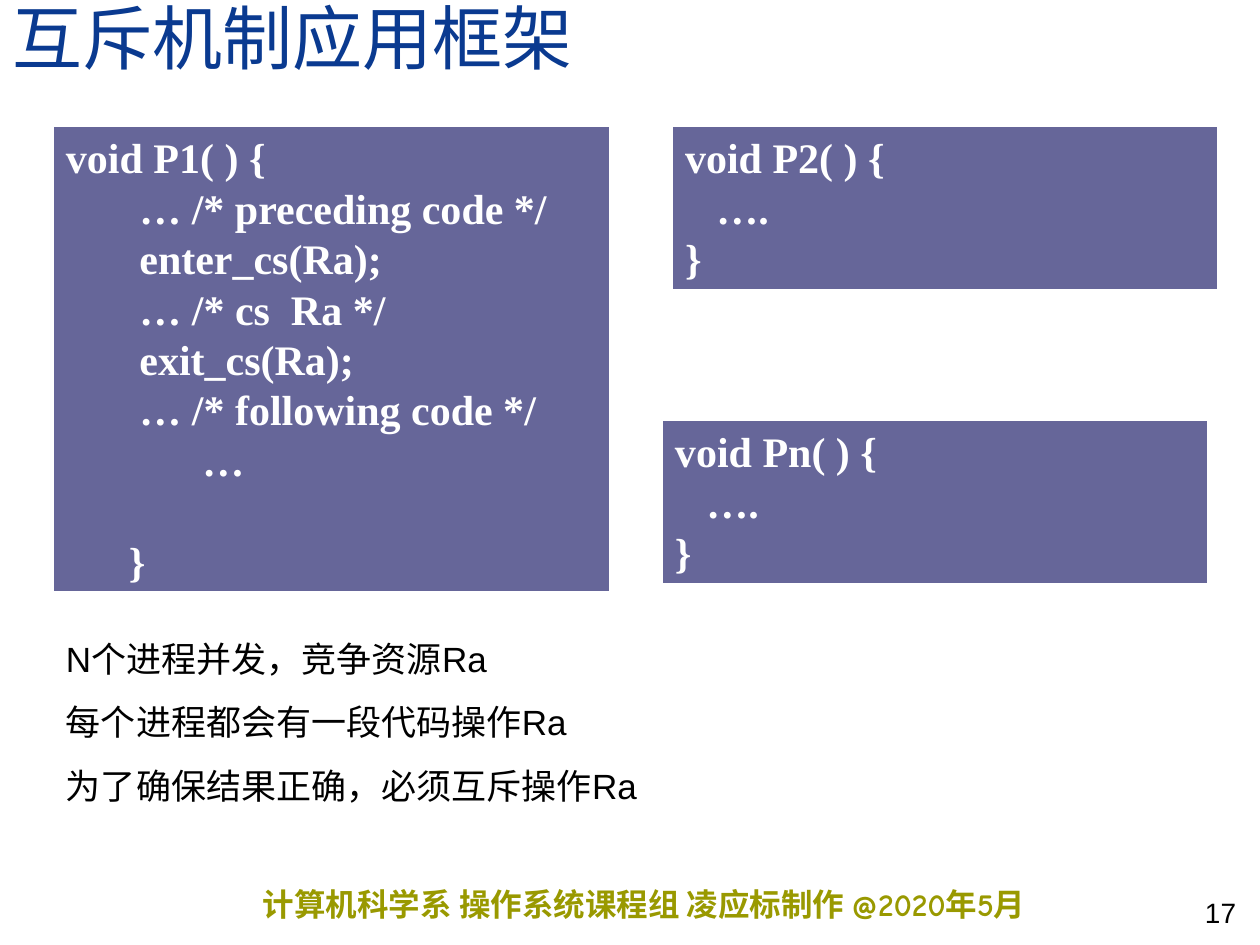
import pptx
import pptx.dml.color
import pptx.enum.shapes
import pptx.enum.text
import pptx.util

EMU_PER_PX = 914400 / 126
ANCHOR = pptx.enum.text.MSO_ANCHOR
ALIGN = pptx.enum.text.PP_ALIGN
CODE_LINE = 28.8  # line height of code, in points


def px(length):
    return pptx.util.Emu(round(length * EMU_PER_PX))


def color(value):
    return pptx.dml.color.RGBColor.from_string(value)


class SlideWriter:
    """Holds the slide's style and the page being filled."""

    serif, sans, comic = "Times New Roman", "Arial", "Comic Neue"
    navy, violet, olive = "0A3A90", "666699", "999900"
    black, white = "000000", "FFFFFF"

    def __init__(self, page):
        self.page = page

    def _prepare(self, box, anchor, side=13):
        frame = box.text_frame
        frame.word_wrap = True
        frame.vertical_anchor = anchor
        frame.margin_left = frame.margin_right = px(side)
        frame.margin_top = frame.margin_bottom = px(6)
        return frame

    def _paragraphs(self, frame, lines, font, size, ink, bold=False,
                    align=ALIGN.LEFT, spacing=None, gap=0):
        for index, line in enumerate(lines):
            para = frame.add_paragraph() if index else frame.paragraphs[0]
            para.text = line
            para.alignment = align
            para.line_spacing = spacing
            if index and gap:
                para.space_before = pptx.util.Pt(gap)
            para.font.name = font
            para.font.size = pptx.util.Pt(size)
            para.font.bold = bold
            para.font.color.rgb = color(ink)

    def text(self, place, lines, font, size, ink, anchor=ANCHOR.TOP,
             side=13, **style):
        box = self.page.shapes.add_textbox(*map(px, place))
        frame = self._prepare(box, anchor, side)
        self._paragraphs(frame, lines, font, size, ink, **style)

    def code(self, place, lines):
        """Draw a code panel and return its paragraphs."""
        panel = self.page.shapes.add_shape(
            pptx.enum.shapes.MSO_SHAPE.RECTANGLE, *map(px, place))
        panel.shadow.inherit = False
        panel.fill.solid()
        panel.fill.fore_color.rgb = color(self.violet)
        panel.line.color.rgb = color(self.white)
        panel.line.width = pptx.util.Pt(0.75)
        frame = self._prepare(panel, ANCHOR.TOP)
        self._paragraphs(frame, lines, self.serif, 24, self.white, bold=True,
                         spacing=pptx.util.Pt(CODE_LINE))
        return frame.paragraphs


def main():
    deck = pptx.Presentation()
    deck.slide_width, deck.slide_height = px(1260), px(945)
    writer = SlideWriter(deck.slides.add_slide(deck.slide_layouts[6]))

    writer.text((263, 879, 922, 50),
                ["计算机科学系 操作系统课程组 凌应标制作 @2020年5月"],
                writer.comic, 18, writer.olive, side=0, bold=True)
    writer.text((1050, 872, 199, 63), ["17"], writer.sans, 16, writer.black,
                anchor=ANCHOR.BOTTOM, align=ALIGN.RIGHT)
    writer.text((0, 0, 1113, 84), ["互斥机制应用框架"], writer.serif, 40,
                writer.navy, anchor=ANCHOR.BOTTOM, spacing=0.8)

    first_process = writer.code((53, 126, 557, 466), [
        "void P1( ) {",
        "       … /* preceding code */",
        " enter_cs(Ra);",
        " … /* cs  Ra */",
        " exit_cs(Ra);",
        " … /* following code */",
        "       …",
        "}",
    ])
    for para in first_process[2:]:
        properties = para._p.get_or_add_pPr()
        properties.set("marL", str(px(63)))
        properties.set("indent", "0")
    first_process[-1].space_before = pptx.util.Pt(CODE_LINE)

    for name, left, top in (("P2", 672, 126), ("Pn", 662, 420)):
        writer.code((left, top, 546, 164),
                    [f"void {name}( ) {{", "   ….", "}"])

    writer.text((53, 631, 1104, 247), [
        "N个进程并发，竞争资源Ra",
        "每个进程都会有一段代码操作Ra",
        "为了确保结果正确，必须互斥操作Ra",
    ], writer.sans, 20, writer.black, gap=12.5)

    deck.save("out.pptx")


if __name__ == "__main__":
    main()
